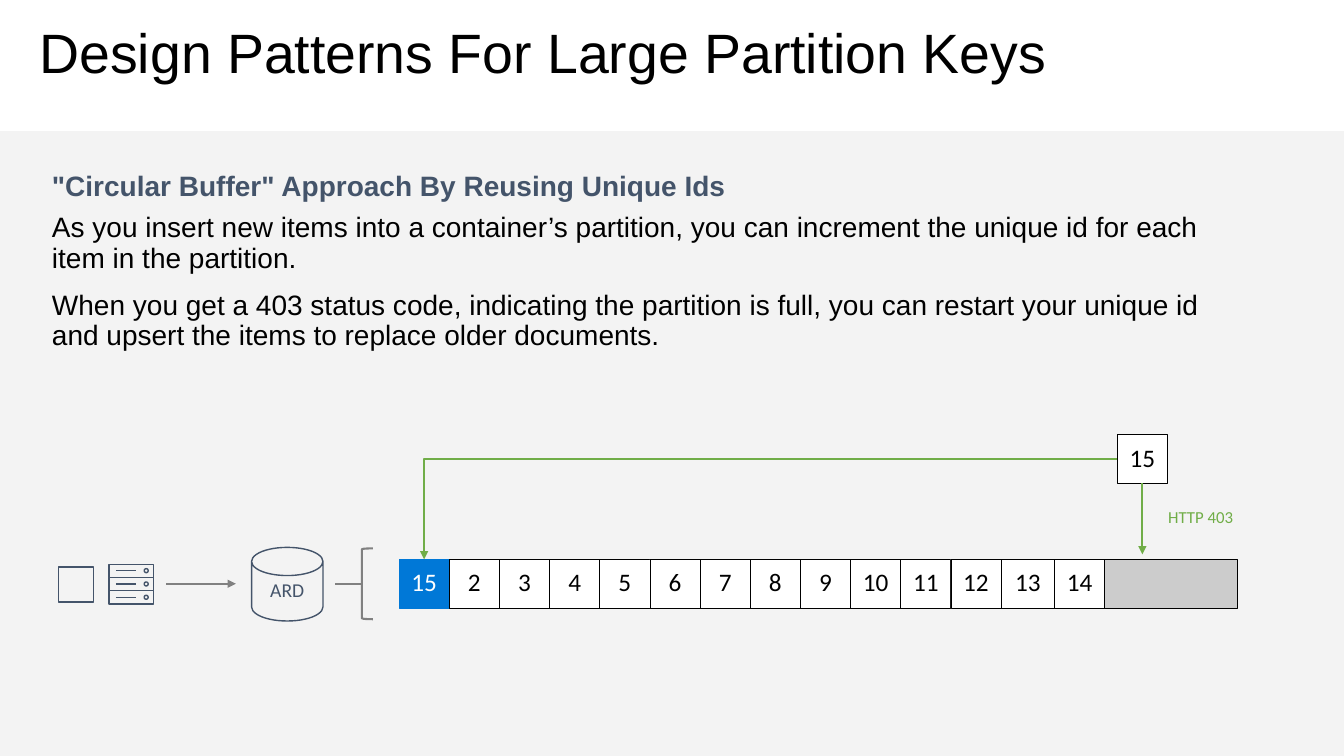
from dataclasses import dataclass

from lxml.etree import SubElement
from pptx import Presentation
from pptx.dml.color import RGBColor
from pptx.enum.shapes import MSO_CONNECTOR as Link, MSO_SHAPE as Kind
from pptx.enum.text import MSO_ANCHOR as Anchor, PP_ALIGN as Align
from pptx.oxml.ns import qn
from pptx.shapes.autoshape import Shape
from pptx.shapes.connector import Connector
from pptx.shapes.shapetree import GroupShapes, SlideShapes
from pptx.text.text import TextFrame
from pptx.util import Pt

BLACK = RGBColor(0x00, 0x00, 0x00)
WHITE = RGBColor(0xFF, 0xFF, 0xFF)
PANEL = RGBColor(0xF3, 0xF3, 0xF3)
SLATE = RGBColor(0x44, 0x54, 0x6A)
BLUE = RGBColor(0x00, 0x78, 0xD7)
GREEN = RGBColor(0x70, 0xAD, 0x47)
GRAY = RGBColor(0x80, 0x80, 0x80)
SILVER = RGBColor(0xCC, 0xCC, 0xCC)

CELL_TOP, CELL_HEIGHT, CELL_PITCH = 399.6, 34.8, 35.83
ROW_LEFT, ROW_RIGHT = 285.1, 884.1
AXIS = 417

Point = tuple[float, float]
Canvas = SlideShapes | GroupShapes


@dataclass(frozen=True)
class Box:
    left: float
    top: float
    width: float
    height: float


@dataclass(frozen=True)
class Cell:
    label: str
    box: Box
    fill: RGBColor = WHITE
    line: RGBColor = BLACK
    color: RGBColor = BLACK


def set_insets(frame: TextFrame, across: float, down: float) -> None:
    frame.margin_left = frame.margin_right = Pt(across)
    frame.margin_top = frame.margin_bottom = Pt(down)


def write(frame: TextFrame, text: str, *, size: float, font: str = "Arial",
          color: RGBColor = BLACK, bold: bool = False, align: Align = Align.LEFT,
          before: float = 0, after: float = 0) -> None:
    """Fill the first paragraph, or add one when there is text already."""
    para = frame.add_paragraph() if frame.text else frame.paragraphs[0]
    para.alignment, para.line_spacing = align, 0.9
    para.space_before, para.space_after = Pt(before), Pt(after)
    span = para.add_run()
    span.text = text
    span.font.size, span.font.name, span.font.bold = Pt(size), font, bold
    span.font.color.rgb = color


def add_text_frame(shapes: Canvas, box: Box, across: float, down: float) -> TextFrame:
    frame = shapes.add_textbox(
        Pt(box.left), Pt(box.top), Pt(box.width), Pt(box.height)).text_frame
    frame.word_wrap = True
    set_insets(frame, across, down)
    return frame


def add_preset(shapes: Canvas, kind: Kind, box: Box, *, fill: RGBColor | None = None,
               line: RGBColor | None = SLATE, width: float = 1) -> Shape:
    shape = shapes.add_shape(
        kind, Pt(box.left), Pt(box.top), Pt(box.width), Pt(box.height))
    shape.shadow.inherit = False
    if fill is None:
        shape.fill.background()
    else:
        shape.fill.solid()
        shape.fill.fore_color.rgb = fill
    if line is None:
        shape.line.fill.background()
    else:
        shape.line.color.rgb = line
        shape.line.width = Pt(width)
    return shape


def add_link(shapes: Canvas, start: Point, end: Point, *, color: RGBColor = GRAY,
             width: float = 1.5, arrow: bool = False,
             kind: Link = Link.STRAIGHT) -> Connector:
    link = shapes.add_connector(kind, *(Pt(value) for value in start + end))
    link.line.color.rgb = color
    link.line.width = Pt(width)
    properties = link._element.spPr
    if arrow:
        SubElement(properties.find(qn("a:ln")), qn("a:tailEnd"), type="triangle")
    SubElement(properties, qn("a:effectLst"))
    return link


def add_cell(shapes: Canvas, cell: Cell) -> Shape:
    shape = add_preset(shapes, Kind.RECTANGLE, cell.box,
                       fill=cell.fill, line=cell.line, width=0.5)
    if cell.label:
        frame = shape.text_frame
        set_insets(frame, 7.2, 7.2)
        frame.vertical_anchor = Anchor.MIDDLE
        write(frame, cell.label, size=18, font="Calibri",
              color=cell.color, align=Align.CENTER)
    return shape


def add_server(shapes: Canvas) -> None:
    icon = shapes.add_group_shape().shapes
    for unit in range(3):
        top = 403 + 9.5 * unit
        add_preset(icon, Kind.RECTANGLE, Box(77.8, top, 32, 9.5))
        add_preset(icon, Kind.OVAL, Box(103, top + 3.2, 2.9, 2.9))
        add_link(icon, (82.8, top + 4.7), (97.2, top + 4.7), color=SLATE, width=1)


def add_source(shapes: Canvas) -> None:
    """Draw the service, its server and the database that feed the buffer."""
    add_preset(shapes, Kind.RECTANGLE, Box(41.8, 405, 25, 25))
    add_link(shapes, (118.8, AXIS), (168.5, AXIS), arrow=True)
    can = add_preset(shapes, Kind.CAN, Box(179.7, 391, 51, 52.6))
    can.adjustments[0] = 0.395
    set_insets(can.text_frame, 0, 11.5)
    can.text_frame.vertical_anchor = Anchor.MIDDLE
    write(can.text_frame, "ARD", size=14, font="Calibri", color=SLATE, align=Align.CENTER)
    add_server(shapes)
    bracket = add_preset(shapes, Kind.LEFT_BRACKET, Box(258.5, 391.7, 7.9, 50.6),
                         line=GRAY, width=1.5)
    add_link(shapes, (258.5, AXIS), (239, AXIS)).begin_connect(bracket, 1)


def add_buffer(shapes: Canvas) -> None:
    left, cells = ROW_LEFT, []
    for number in range(1, 15):
        width = 38.2 if number == 13 else CELL_PITCH
        box = Box(left, CELL_TOP, width, CELL_HEIGHT)
        cells.append(Cell("15", box, BLUE, BLUE, WHITE) if number == 1
                     else Cell(str(number), box))
        left += width
    cells.append(Cell("", Box(left, CELL_TOP, ROW_RIGHT - left, CELL_HEIGHT), SILVER))
    row = [add_cell(shapes, cell) for cell in cells]

    incoming = add_cell(shapes, Cell("15", Box(798, 310.5, 36, CELL_HEIGHT)))
    add_link(shapes, (816, 345.3), (816, 396), color=GREEN,
             arrow=True).begin_connect(incoming, 2)
    label = add_text_frame(shapes, Box(827.3, 356.8, 67.7, 27.4), 7.2, 7.2)
    write(label, "HTTP 403", size=12, font="Calibri", color=GREEN, after=6)
    restart = add_link(shapes, (798, 327.9), (303, CELL_TOP), color=GREEN,
                       arrow=True, kind=Link.ELBOW)
    restart._element.spPr.find(qn("a:prstGeom")).set("prst", "bentConnector2")
    restart.begin_connect(incoming, 1)
    restart.end_connect(row[0], 0)


def main() -> None:
    deck = Presentation()
    deck.slide_width, deck.slide_height = Pt(960), Pt(540)
    shapes = deck.slides.add_slide(deck.slide_layouts[6]).shapes
    add_preset(shapes, Kind.RECTANGLE, Box(0, 93.6, 960, 446.4), fill=PANEL, line=None)
    title = add_text_frame(shapes, Box(24.5, 18, 918, 60), 3.6, 0)
    write(title, "Design Patterns For Large Partition Keys", size=39.6)
    body = add_text_frame(shapes, Box(25.6, 115.8, 877.7, 144), 11.5, 7.2)
    write(body, "\"Circular Buffer\" Approach By Reusing Unique Ids",
          size=20, color=SLATE, bold=True)
    for text in (
        "As you insert new items into a container’s partition, you can increment "
        "the unique id for each item in the partition.",
        "When you get a 403 status code, indicating the partition is full, you can "
        "restart your unique id and upsert the items to replace older documents.",
    ):
        write(body, text, size=20, before=8, after=4)
    add_source(shapes)
    add_buffer(shapes)
    deck.save("out.pptx")


if __name__ == "__main__":
    main()
